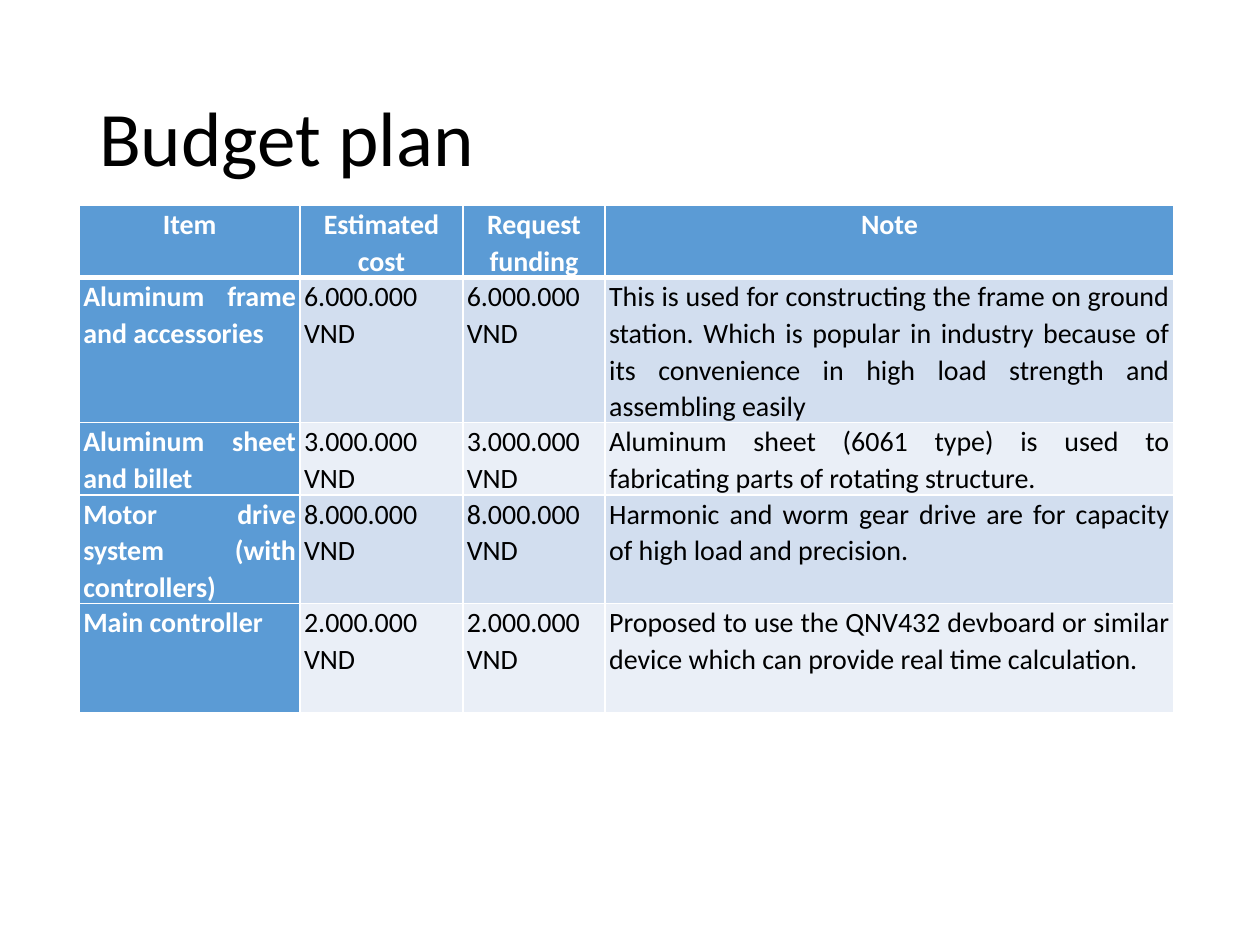
from lxml.etree import SubElement
from pptx import Presentation
from pptx.dml.color import RGBColor
from pptx.enum.text import MSO_ANCHOR, PP_ALIGN
from pptx.oxml.ns import qn
from pptx.util import Cm, Pt

BLACK = RGBColor(0x00, 0x00, 0x00)
WHITE = RGBColor(0xFF, 0xFF, 0xFF)
BLUE = RGBColor(0x5B, 0x9B, 0xD5)
BAND_DARK = RGBColor(0xD2, 0xDE, 0xEF)
BAND_LIGHT = RGBColor(0xEA, 0xEF, 0xF7)

FONT = "Calibri"
LINE_HEIGHT = 0.73
COLUMN_WIDTHS = [4.45, 3.28, 2.87, 11.46]
LINES_PER_ROW = [2, 4, 2, 3, 3]
ROWS = [
    ["Item", "Estimated cost", "Request funding", "Note"],
    ["Aluminum frame and accessories", "6.000.000 VND", "6.000.000 VND",
     "This is used for constructing the frame on ground station. Which is popular "
     "in industry because of its convenience in high load strength and assembling easily"],
    ["Aluminum sheet and billet", "3.000.000 VND", "3.000.000 VND",
     "Aluminum sheet (6061 type) is used to fabricating parts of rotating structure."],
    ["Motor drive system (with controllers)", "8.000.000 VND", "8.000.000 VND",
     "Harmonic and worm gear drive are for capacity of high load and precision."],
    ["Main controller", "2.000.000 VND", "2.000.000 VND",
     "Proposed to use the QNV432 devboard or similar device which can provide "
     "real time calculation."],
]


def add_border(cell, side, width):
    """Draw a solid white border on side L, R, T or B of the cell."""
    line = SubElement(cell._tc.get_or_add_tcPr(), qn(f"a:ln{side}"), w=str(Pt(width)))
    fill = SubElement(line, qn("a:solidFill"))
    SubElement(fill, qn("a:srgbClr"), val=str(WHITE))


presentation = Presentation()
presentation.slide_width = Cm(25.4)
presentation.slide_height = Cm(19.05)
slide = presentation.slides.add_slide(presentation.slide_layouts[6])

title = slide.shapes.add_textbox(Cm(1.75), Cm(1.02), Cm(21.89), Cm(3.68))
title.text_frame.word_wrap = True
title.text_frame.vertical_anchor = MSO_ANCHOR.MIDDLE
paragraph = title.text_frame.paragraphs[0]
paragraph.text = "Budget plan"
paragraph.line_spacing = 0.9
paragraph.font.name = FONT
paragraph.font.size = Pt(44)
paragraph.font.color.rgb = BLACK

table = slide.shapes.add_table(
    len(ROWS), len(COLUMN_WIDTHS), Cm(1.6), Cm(4.14),
    Cm(sum(COLUMN_WIDTHS)), Cm(LINE_HEIGHT * sum(LINES_PER_ROW)),
).table
table.first_col = True
for column, width in zip(table.columns, COLUMN_WIDTHS):
    column.width = Cm(width)

for row_index, texts in enumerate(ROWS):
    table.rows[row_index].height = Cm(LINE_HEIGHT * LINES_PER_ROW[row_index])
    is_header_row = row_index == 0
    band = BAND_DARK if row_index % 2 else BAND_LIGHT
    for column_index, text in enumerate(texts):
        is_heading = is_header_row or column_index == 0
        cell = table.cell(row_index, column_index)
        cell.margin_left = cell.margin_right = Cm(0.08)
        cell.margin_top = cell.margin_bottom = 0
        add_border(cell, "L", 1)
        add_border(cell, "R", 1)
        add_border(cell, "T", 3 if row_index == 1 else 1)
        add_border(cell, "B", 3 if is_header_row else 1)
        cell.fill.solid()
        cell.fill.fore_color.rgb = BLUE if is_heading else band

        paragraph = cell.text_frame.paragraphs[0]
        paragraph.text = text
        paragraph.alignment = PP_ALIGN.CENTER if is_header_row else PP_ALIGN.JUSTIFY
        paragraph.line_spacing = 1.07
        paragraph.font.name = FONT
        paragraph.font.size = Pt(16)
        paragraph.font.bold = is_heading
        paragraph.font.color.rgb = WHITE if is_heading else BLACK

presentation.save("out.pptx")
